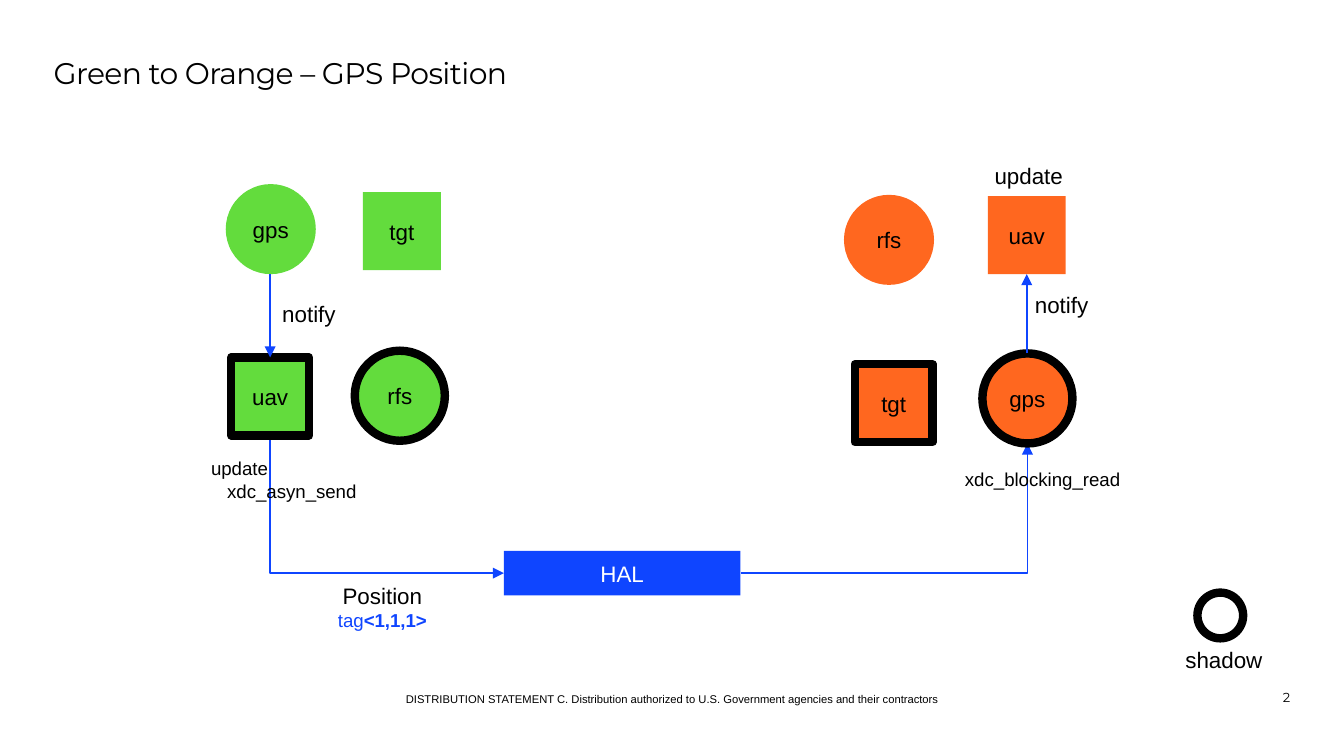
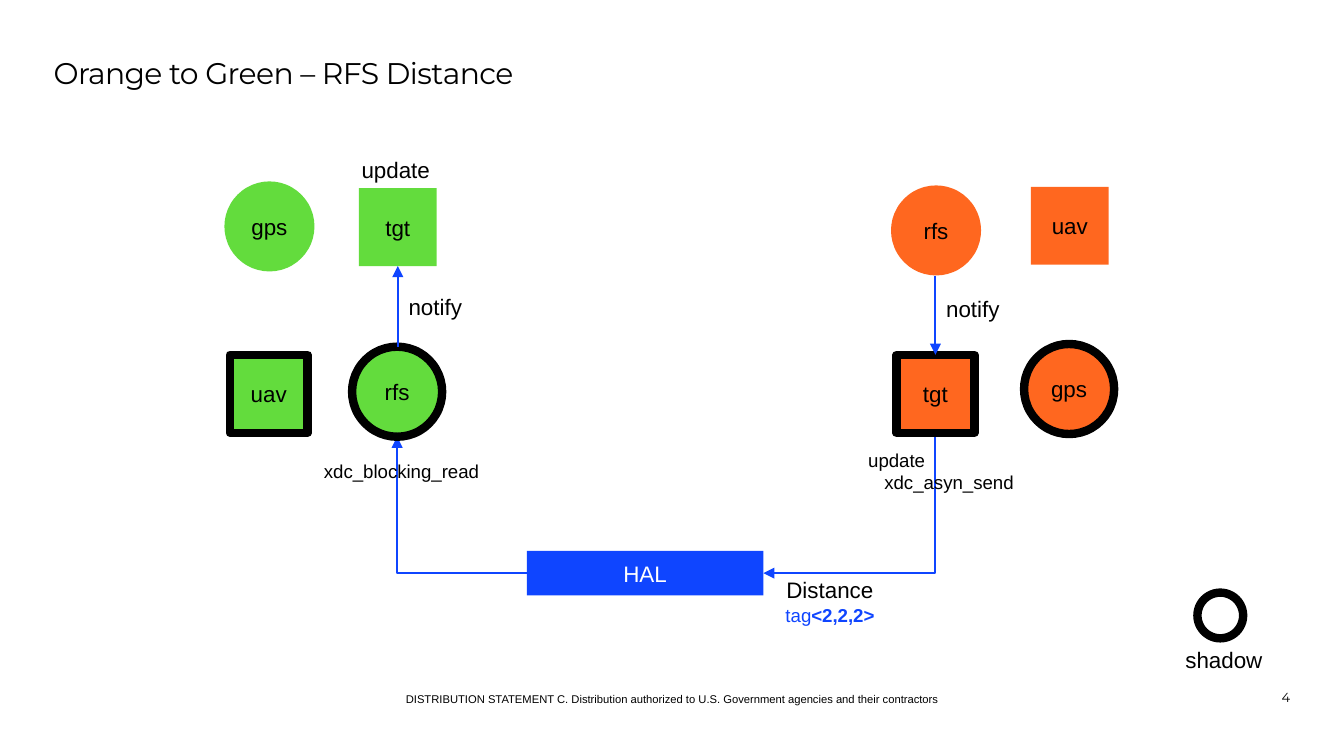
"""Build two slides that show how positions and distances cross the HAL."""
from lxml import etree
from pptx import Presentation
from pptx.dml.color import RGBColor
from pptx.enum.shapes import MSO_CONNECTOR, MSO_SHAPE
from pptx.enum.text import MSO_ANCHOR, PP_ALIGN
from pptx.oxml.ns import qn
from pptx.util import Inches, Pt

BLACK = RGBColor(0x00, 0x00, 0x00)
WHITE = RGBColor(0xFF, 0xFF, 0xFF)
BLUE = RGBColor(0x0F, 0x45, 0xFF)
GREEN = RGBColor(0x63, 0xDC, 0x3D)
ORANGE = RGBColor(0xFF, 0x67, 0x1F)

BODY_FONT = "Arial"
TITLE_FONT = "Montserrat"
FOOTER = ("DISTRIBUTION STATEMENT C. Distribution authorized to "
          "U.S. Government agencies and their contractors")

CIRCLE, SQUARE = 0.67, 0.58
HAL_TOP, HAL_W, HAL_H = 4.1, 1.76, 0.33
CIRCLES = ("gps", "rfs")
NODES = {GREEN: ("gps", "tgt", "uav", "rfs"), ORANGE: ("rfs", "uav", "tgt", "gps")}

FLOWS = [
    {
        "title": "Green to Orange – GPS Position", "page": "2",
        "path": ("gps", "uav"), "sender": GREEN, "hal": 3.75,
        "message": ("Position", "<1,1,1>", 2.29, 4.33),
        "sides": [
            (GREEN, 1.68, 1.37, {
                "gps": (0, 0), "tgt": (1.02, 0.06), "uav": (0.04, 1.29), "rfs": (0.96, 1.24),
                "notify": (0.42, 0.86), "call": (-0.11, 2.03)}),
            (ORANGE, 6.28, 1.45, {
                "rfs": (0, 0), "uav": (1.07, 0.01), "tgt": (0.08, 1.26), "gps": (1.03, 1.18),
                "notify": (1.42, 0.72), "call": (0.9, 2.03), "update": (1.12, -0.24)}),
        ],
    },
    {
        "title": "Orange to Green – RFS Distance", "page": "4",
        "path": ("rfs", "tgt"), "sender": ORANGE, "hal": 3.92,
        "message": ("Distance", "<2,2,2>", 5.62, 4.29),
        "sides": [
            (GREEN, 1.67, 1.35, {
                "gps": (0, 0), "tgt": (1, 0.05), "uav": (0.04, 1.29), "rfs": (0.95, 1.23),
                "notify": (1.37, 0.83), "call": (0.74, 2.07), "update": (1.02, -0.19)}),
            (ORANGE, 6.63, 1.38, {
                "rfs": (0, 0), "uav": (1.04, 0.01), "tgt": (0.04, 1.26), "gps": (0.99, 1.18),
                "notify": (0.41, 0.82), "call": (-0.17, 1.96)}),
        ],
    },
]


def format_run(r, size, color=BLACK, font=BODY_FONT, bold=None):
    """Set the font of one run."""
    r.font.size, r.font.name, r.font.bold = Pt(size), font, bold
    r.font.color.rgb = color


def add_text(slide, box, text, size, font=BODY_FONT, align=PP_ALIGN.LEFT, anchor=MSO_ANCHOR.TOP):
    """Add a text box without margins, one paragraph per line."""
    tf = slide.shapes.add_textbox(*map(Inches, box)).text_frame
    tf.margin_left = tf.margin_right = tf.margin_top = tf.margin_bottom = 0
    tf.word_wrap, tf.vertical_anchor = True, anchor
    tf.text = text
    for p in tf.paragraphs:
        p.alignment = align
        for r in p.runs:
            format_run(r, size, font=font)
    return tf


def add_block(slide, kind, box, fill, text="", color=BLACK, shadow=False):
    """Add a filled shape with a centred label; a shadow has a thick outline."""
    sp = slide.shapes.add_shape(kind, *map(Inches, box))
    sp.shadow.inherit = False
    sp.fill.solid()
    sp.fill.fore_color.rgb = fill
    if shadow:
        sp.line.color.rgb, sp.line.width = BLACK, Pt(4.5)
    else:
        sp.line.fill.background()
    tf = sp.text_frame
    tf.margin_left = tf.margin_right = 0
    tf.vertical_anchor = MSO_ANCHOR.MIDDLE
    if text:
        tf.text = text
        p = tf.paragraphs[0]
        p.alignment = PP_ALIGN.CENTER
        format_run(p.runs[0], 12, color)
    return sp


def add_arrow(slide, kind, begin, end, tip="tailEnd"):
    """Add a blue connector with a triangle at its head or tail."""
    cxn = slide.shapes.add_connector(kind, *begin, *end)
    cxn.line.color.rgb, cxn.line.width = BLUE, Pt(1)
    sp_pr = cxn._element.spPr
    etree.SubElement(sp_pr.find(qn("a:ln")), qn("a:" + tip), type="triangle")
    etree.SubElement(sp_pr, qn("a:effectLst"))
    if kind == MSO_CONNECTOR.ELBOW:
        sp_pr.find(qn("a:prstGeom")).set("prst", "bentConnector2")
    return cxn


def add_notify(slide, circle, square, sends):
    """Join the circle and the square of a path with a vertical arrow."""
    x = square.left + square.width // 2
    if sends:
        begin, end = (x, circle.top + circle.height), (x, square.top)
        add_arrow(slide, MSO_CONNECTOR.STRAIGHT, begin, end).end_connect(square, 0)
    else:
        begin, end = (x, circle.top), (x, square.top + square.height)
        add_arrow(slide, MSO_CONNECTOR.STRAIGHT, begin, end).end_connect(square, 2)


def add_side(slide, hal, color, left, top, spots, path, sends):
    """Draw one enclave: its nodes, the branch to the HAL and the call labels."""
    def box(name, w, h):
        """Place a part relative to the side."""
        dx, dy = spots[name]
        return left + dx, top + dy, w, h

    port = path[1] if sends else path[0]
    size = CIRCLE if port in CIRCLES else SQUARE
    x, y, _, _ = box(port, size, size)
    edge = hal.left if color == GREEN else hal.left + hal.width
    add_arrow(slide, MSO_CONNECTOR.ELBOW, (edge, hal.top + hal.height // 2),
              (Inches(x + size / 2), Inches(y + size)), "headEnd" if sends else "tailEnd")

    nodes = {}
    for i, name in enumerate(NODES[color]):
        is_circle = name in CIRCLES
        size = CIRCLE if is_circle else SQUARE
        kind = MSO_SHAPE.OVAL if is_circle else MSO_SHAPE.RECTANGLE
        nodes[name] = add_block(slide, kind, box(name, size, size), color, name, shadow=i > 1)
    add_notify(slide, nodes[path[0]], nodes[path[1]], sends)

    add_text(slide, box("notify", 0.5, 0.2), "notify", 12)
    if sends:
        tf = add_text(slide, box("call", 1.18, 0.43), "update\nxdc_asyn_send", 10)
        tf.paragraphs[1]._p.get_or_add_pPr().set("marL", str(Inches(0.12)))
    else:
        add_text(slide, box("call", 1.18, 0.25), "xdc_blocking_read", 10)
        add_text(slide, box("update", 0.56, 0.2), "update", 12)


def add_message(slide, name, tag, left, top):
    """Add the message name with its tag below."""
    tf = add_text(slide, (left, top, 1.11, 0.47), name, 12, align=PP_ALIGN.CENTER)
    p = tf.paragraphs[0]
    p.add_line_break()
    for text, bold in (("tag", None), (tag, True)):
        r = p.add_run()
        r.text = text
        format_run(r, 10, BLUE, bold=bold)


def add_legend(slide, left, top):
    """Explain the thick outline."""
    add_block(slide, MSO_SHAPE.OVAL, (left + 0.09, top, 0.34, 0.34), WHITE, shadow=True)
    add_text(slide, (left, top + 0.4, 0.76, 0.25), "shadow", 12)


def add_frame(slide, title, page):
    """Add the title, the distribution statement and the page number."""
    tf = add_text(slide, (0.4, 0.41, 9.2, 0.3), title, 16, TITLE_FONT)
    tf.paragraphs[0].runs[0]._r.get_or_add_rPr().set("spc", "-30")
    add_text(slide, (1.85, 5.05, 6.3, 0.2), FOOTER, 6,
             align=PP_ALIGN.CENTER, anchor=MSO_ANCHOR.BOTTOM)
    add_text(slide, (9.2, 5.05, 0.4, 0.2), page, 7, TITLE_FONT, PP_ALIGN.RIGHT, MSO_ANCHOR.BOTTOM)


def add_flow_slide(prs, flow):
    """Build one slide from its flow description."""
    slide = prs.slides.add_slide(prs.slide_layouts[6])
    add_frame(slide, flow["title"], flow["page"])
    hal = add_block(slide, MSO_SHAPE.RECTANGLE, (flow["hal"], HAL_TOP, HAL_W, HAL_H),
                    BLUE, "HAL", WHITE)
    for color, left, top, spots in flow["sides"]:
        add_side(slide, hal, color, left, top, spots, flow["path"], color == flow["sender"])
    add_message(slide, *flow["message"])
    add_legend(slide, 8.82, 4.41)


def main():
    """Create and save the presentation."""
    prs = Presentation()
    prs.slide_width = Inches(10)
    prs.slide_height = prs.slide_width * 9 // 16
    for flow in FLOWS:
        add_flow_slide(prs, flow)
    prs.save("out.pptx")


if __name__ == "__main__":
    main()
